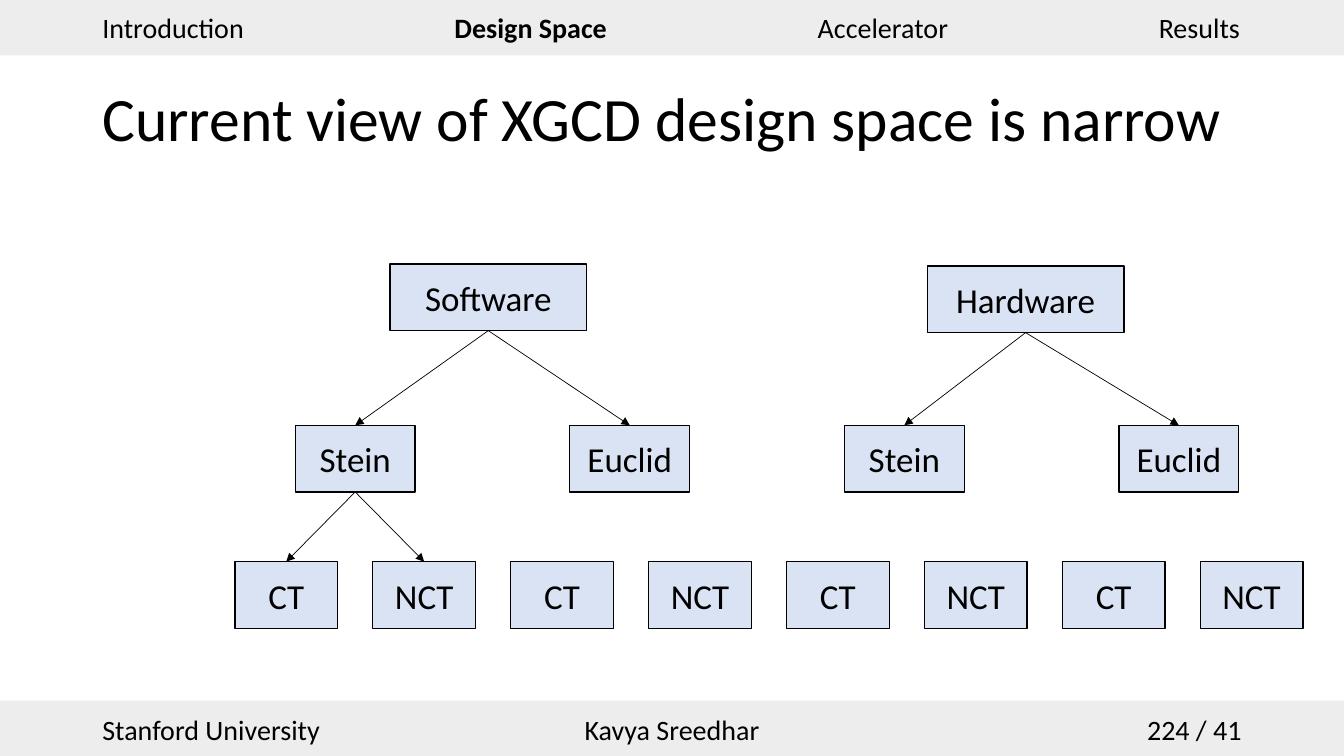
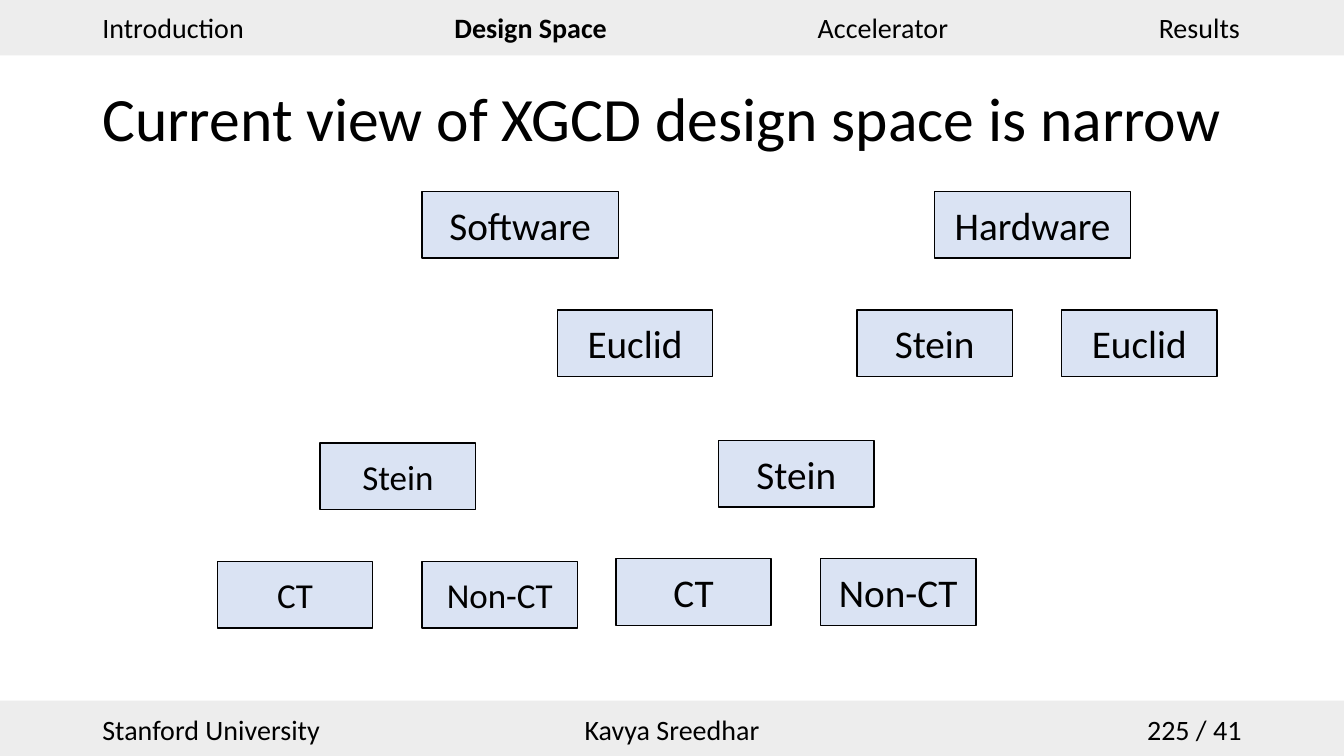
from dataclasses import dataclass

from lxml import etree
from pptx import Presentation
from pptx.dml.color import RGBColor
from pptx.enum import shapes, text
from pptx.oxml import ns
from pptx.util import Pt


@dataclass(frozen=True)
class Theme:
    font: str = "Calibri"
    ink: RGBColor = RGBColor(0x00, 0x00, 0x00)
    band: RGBColor = RGBColor(0xED, 0xED, 0xED)
    node: RGBColor = RGBColor(0xDA, 0xE3, 0xF3)
    title_size: float = 44
    band_size: float = 20
    small_size: float = 25
    large_size: float = 28
    node_line: float = 1
    arrow_line: float = 0.5


THEME = Theme()
WIDTH, HEIGHT = 960, 540
MARGIN, CONTENT = 66, 828
BAND_HEIGHT = 39.6
NODE_HEIGHT = 47.6
ROOT_WIDTH = 140.4
TITLE = "Current view of XGCD design space is narrow"
# Section names with the widths of their boxes
SECTIONS = {"Introduction": 116.6, "Design Space": 124.6,
            "Accelerator": 108.7, "Results": 73.4}
LEFT, CENTER, RIGHT = (text.PP_ALIGN.LEFT, text.PP_ALIGN.CENTER,
                       text.PP_ALIGN.RIGHT)


def points(*lengths):
    return [Pt(length) for length in lengths]


def write(shape, words, size, align=LEFT, bold=False):
    frame = shape.text_frame
    frame.text = words
    frame.vertical_anchor = text.MSO_ANCHOR.MIDDLE
    para = frame.paragraphs[0]
    para.alignment = align
    font = para.runs[0].font
    font.name, font.size, font.bold = THEME.font, Pt(size), bold
    font.color.rgb = THEME.ink
    return para


def add_text(page, box, words, size, align=LEFT, bold=False, wrap=False):
    shape = page.shapes.add_textbox(*points(*box))
    shape.text_frame.word_wrap = wrap
    return write(shape, words, size, align, bold)


def add_rectangle(page, box, fill):
    shape = page.shapes.add_shape(shapes.MSO_SHAPE.RECTANGLE, *points(*box))
    shape.shadow.inherit = False
    shape.fill.solid()
    shape.fill.fore_color.rgb = fill
    shape.line.fill.background()
    return shape


def add_node(page, left, top, width, words, size):
    shape = add_rectangle(page, (left, top, width, NODE_HEIGHT), THEME.node)
    shape.line.color.rgb = THEME.ink
    shape.line.width = Pt(THEME.node_line)
    write(shape, words, size, CENTER)
    return shape


def add_arrow(page, parent, child):
    """Arrow from the bottom of the parent to the top of the child."""
    arrow = page.shapes.add_connector(shapes.MSO_CONNECTOR.STRAIGHT, 0, 0, 0, 0)
    arrow.begin_connect(parent, 2)
    arrow.end_connect(child, 0)
    arrow.line.color.rgb = THEME.ink
    arrow.line.width = Pt(THEME.arrow_line)
    line = arrow.line._get_or_add_ln()
    etree.SubElement(line, ns.qn("a:tailEnd"), type="triangle")
    etree.SubElement(arrow._element.spPr, ns.qn("a:effectLst"))


def add_header(page, box, current):
    left, top, width, height = box
    add_rectangle(page, box, THEME.band)
    gap = (CONTENT - sum(SECTIONS.values())) / (len(SECTIONS) - 1)
    left += MARGIN
    for name, name_width in SECTIONS.items():
        add_text(page, (left, top + 3.6, name_width, 31.6), name,
                 THEME.band_size, bold=name == current)
        left += name_width + gap


def add_footer(page, box, number):
    left, top, width, height = box
    add_rectangle(page, box, THEME.band)
    entries = [("Stanford University", LEFT), ("Kavya Sreedhar", CENTER),
               (f"{number} / 41", RIGHT)]
    third = CONTENT / len(entries)
    for index, (words, align) in enumerate(entries):
        place = (left + MARGIN + index * third, top + 4.6, third, 31.6)
        add_text(page, place, words, THEME.band_size, align, wrap=True)


def add_page(deck, number):
    page = deck.slides.add_slide(deck.slide_layouts[6])
    add_header(page, (0, 0, WIDTH, BAND_HEIGHT), "Design Space")
    add_footer(page, (0, HEIGHT - BAND_HEIGHT, WIDTH, BAND_HEIGHT), number)
    title = add_text(page, (MARGIN, 34.5, CONTENT, 104.4), TITLE,
                     THEME.title_size, wrap=True)
    title.line_spacing = 0.9
    return page


def add_full_tree(page, left, top):
    """Two roots, four algorithms and eight leaves in even rows."""
    size = THEME.small_size
    roots = [add_node(page, left + across, top + down, ROOT_WIDTH, words, size)
             for words, across, down in [("Software", 110.8, 0),
                                         ("Hardware", 494.6, 1.4)]]
    algorithms = [add_node(page, left + 43.1 + index * 196.1, top + 115.2,
                           85.7, words, size)
                  for index, words in enumerate(["Stein", "Euclid"] * 2)]
    leaves = [add_node(page, left + index * 98.5, top + 212.6, 73.4, words, size)
              for index, words in enumerate(["CT", "NCT"] * 4)]
    # Only the first algorithm is linked to its leaves
    families = [(roots[0], algorithms[:2]), (roots[1], algorithms[2:]),
                (algorithms[0], leaves[:2])]
    for parent, children in families:
        for child in children:
            add_arrow(page, parent, child)


def add_family(page, left, top, parent, children, size):
    """A parent above a row of children; None leaves a place empty."""
    words, indent, width = parent
    add_node(page, left + indent, top, width, words, size)
    for index, child in enumerate(children):
        if child:
            add_node(page, left + index * 146.2, top + 84.5, 111, child, size)


def add_split_tree(page, left, top):
    """Separate families, placed from the corner of the whole tree."""
    stein, leaves = ("Stein", 73.4, 111), ["CT", "Non-CT"]
    families = [
        (96.6, 0, ("Software", 49.4, ROOT_WIDTH), [None, "Euclid"],
         THEME.large_size),
        (456.8, 0, ("Hardware", 55.2, ROOT_WIDTH), ["Stein", "Euclid"],
         THEME.large_size),
        (0, 179.6, stein, leaves, THEME.small_size),
        (284.6, 177.8, stein, leaves, THEME.large_size),
    ]
    for across, down, parent, children, size in families:
        add_family(page, left + across, top + down, parent, children, size)


def main():
    deck = Presentation()
    deck.slide_width, deck.slide_height = points(WIDTH, HEIGHT)
    add_full_tree(add_page(deck, 224), 167.8, 188.6)
    add_split_tree(add_page(deck, 225), 155.3, 136.8)
    deck.save("out.pptx")


if __name__ == "__main__":
    main()
